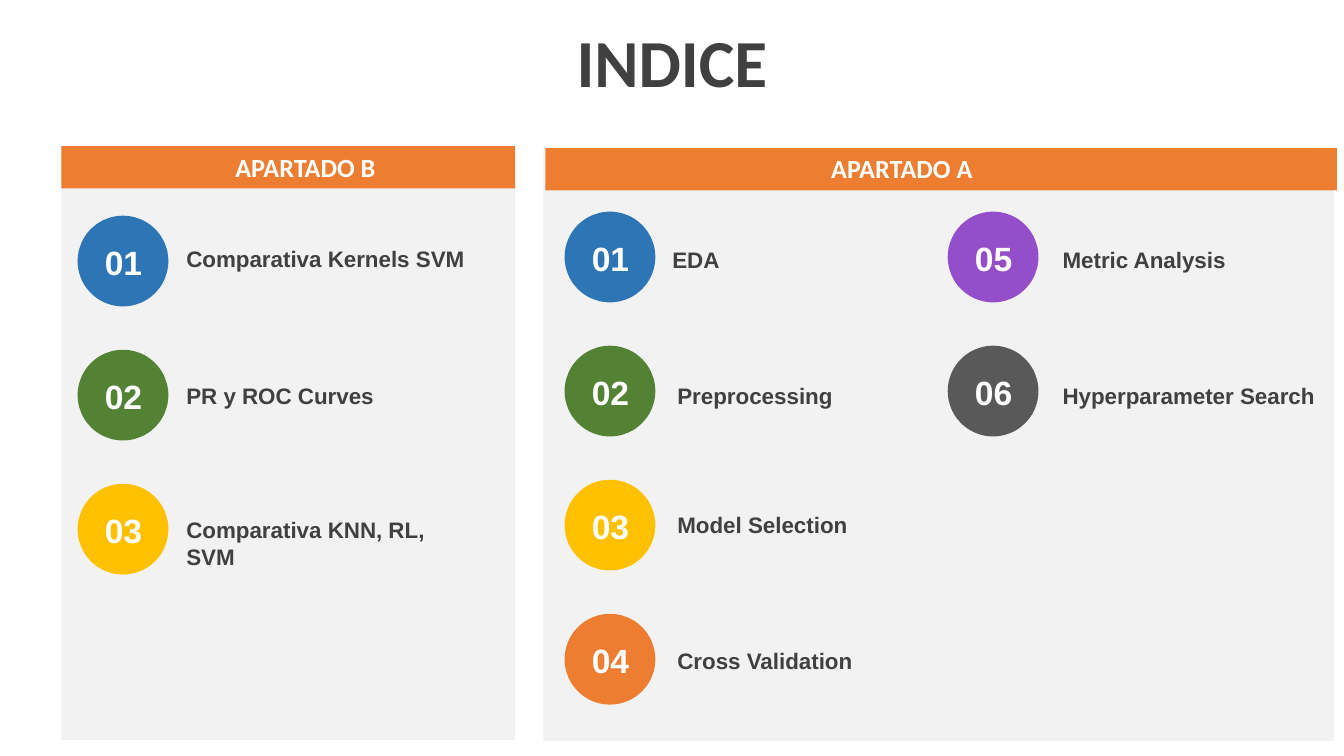
from pptx import Presentation
from pptx.dml.color import RGBColor
from pptx.enum import shapes, text
from pptx.util import Inches, Pt

WHITE = RGBColor(0xFF, 0xFF, 0xFF)
DARK = RGBColor(0x40, 0x40, 0x40)
PANEL = RGBColor(0xF2, 0xF2, 0xF2)
ORANGE = RGBColor(0xED, 0x7D, 0x31)
BLUE = RGBColor(0x2E, 0x75, 0xB6)
GREEN = RGBColor(0x54, 0x82, 0x35)
YELLOW = RGBColor(0xFF, 0xC0, 0x00)
PURPLE = RGBColor(0x95, 0x4E, 0xCA)
GRAY = RGBColor(0x59, 0x59, 0x59)

CENTER, LEFT = text.PP_ALIGN.CENTER, text.PP_ALIGN.LEFT
TOP, MIDDLE = text.MSO_ANCHOR.TOP, text.MSO_ANCHOR.MIDDLE
RECTANGLE, OVAL = shapes.MSO_SHAPE.RECTANGLE, shapes.MSO_SHAPE.OVAL

deck = Presentation()
deck.slide_width = Inches(13.33)
deck.slide_height = Inches(7.5)
page = deck.slides.add_slide(deck.slide_layouts[6])


def add_filled(kind, left, top, width, height, color):
    shape = page.shapes.add_shape(
        kind, Inches(left), Inches(top), Inches(width), Inches(height))
    shape.shadow.inherit = False
    shape.fill.solid()
    shape.fill.fore_color.rgb = color
    shape.line.fill.background()


def add_words(words, left, top, width, height, size, color,
              font="Arial", align=CENTER, anchor=MIDDLE):
    box = page.shapes.add_textbox(
        Inches(left), Inches(top), Inches(width), Inches(height))
    frame = box.text_frame
    frame.word_wrap = True
    frame.vertical_anchor = anchor
    para = frame.paragraphs[0]
    para.alignment = align
    span = para.add_run()
    span.text = words
    span.font.name = font
    span.font.size = Pt(size)
    span.font.bold = True
    span.font.color.rgb = color


# Title
add_words("INDICE", 0, 0.04, 13.33, 1.13, 48, DARK, "Calibri")

# Section panels: heading, panel (left, top, width), band (left, top, width),
# heading box (left, top, width)
sections = [
    ("APARTADO B", (0.61, 1.46, 4.5), (0.61, 1.45, 4.5), (1.18, 1.45, 3.7)),
    ("APARTADO A", (5.39, 1.47, 7.84), (5.41, 1.47, 7.85), (6.26, 1.46, 5.37)),
]
for heading, panel, band, heading_box in sections:
    add_filled(RECTANGLE, *panel, 5.88, PANEL)
    add_filled(RECTANGLE, *band, 0.42, ORANGE)
    add_words(heading, *heading_box, 0.42, 18.7, WHITE, "Calibri", anchor=TOP)

# Numbered entries: circle left, first circle top, first number, label width,
# then colour, label and label position for each row
columns = [
    (0.77, 2.14, 1, 3.07, [
        (BLUE, "Comparativa Kernels SVM", 1.75, 2.38),
        (GREEN, "PR y ROC Curves", 1.75, 3.74),
        (YELLOW, "Comparativa KNN, RL, SVM", 1.75, 5.07)]),
    (5.6, 2.1, 1, 2.7, [
        (BLUE, "EDA", 6.57, 2.39),
        (GREEN, "Preprocessing", 6.62, 3.74),
        (YELLOW, "Model Selection", 6.62, 5.02),
        (ORANGE, "Cross Validation", 6.62, 6.37)]),
    (9.4, 2.1, 5, 2.85, [
        (PURPLE, "Metric Analysis", 10.44, 2.39),
        (GRAY, "Hyperparameter Search", 10.44, 3.74)]),
]
ROW_STEP = 1.33
for left, first_top, first_number, label_width, entries in columns:
    for row, (color, label, label_left, label_top) in enumerate(entries):
        top = first_top + row * ROW_STEP
        add_filled(OVAL, left, top, 0.9, 0.9, color)
        add_words(f"{first_number + row:02}", left + 0.13, top + 0.21,
                  0.65, 0.5, 24, WHITE)
        add_words(label, label_left, label_top, label_width, 0.37,
                  16, DARK, align=LEFT, anchor=TOP)

deck.save("out.pptx")
